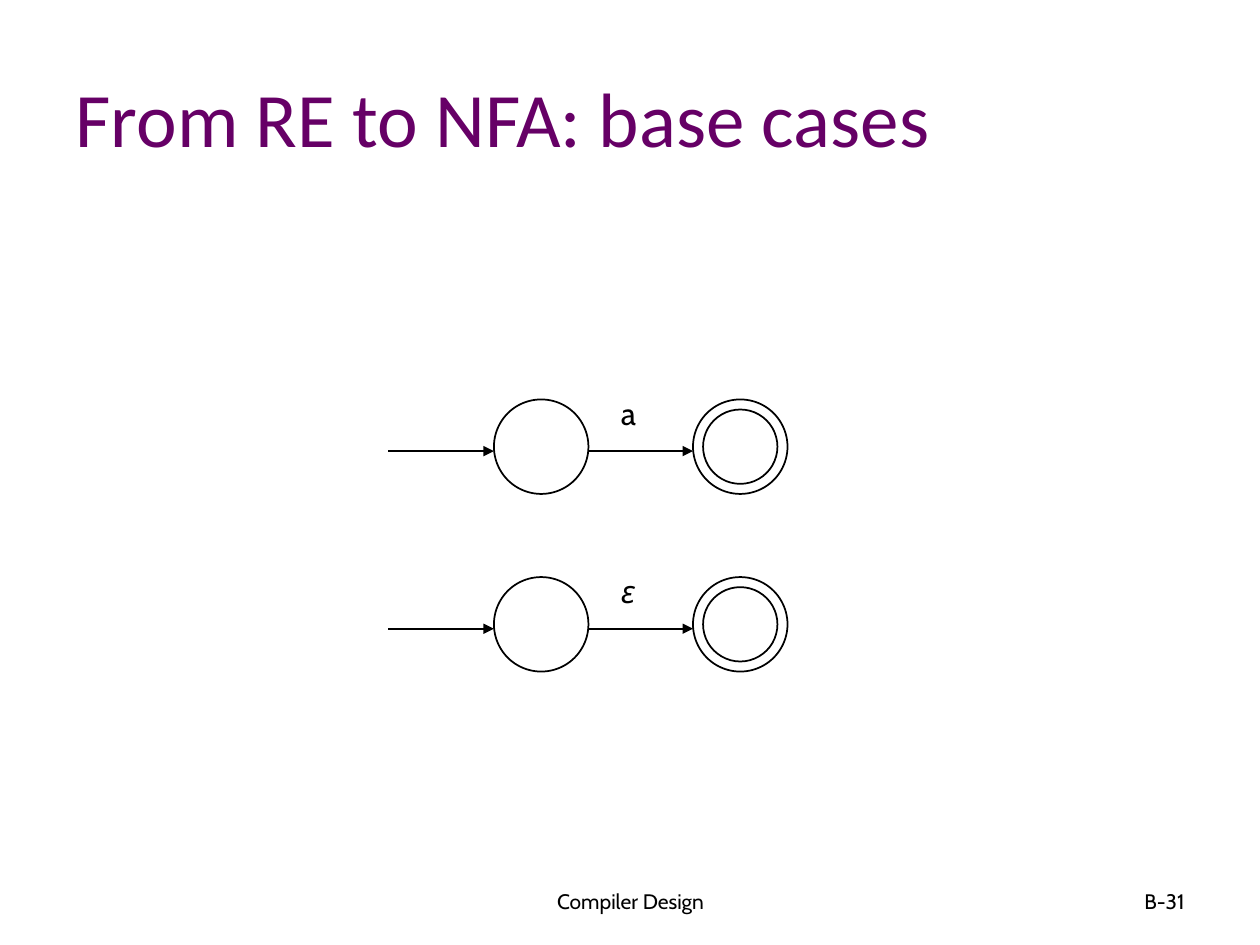
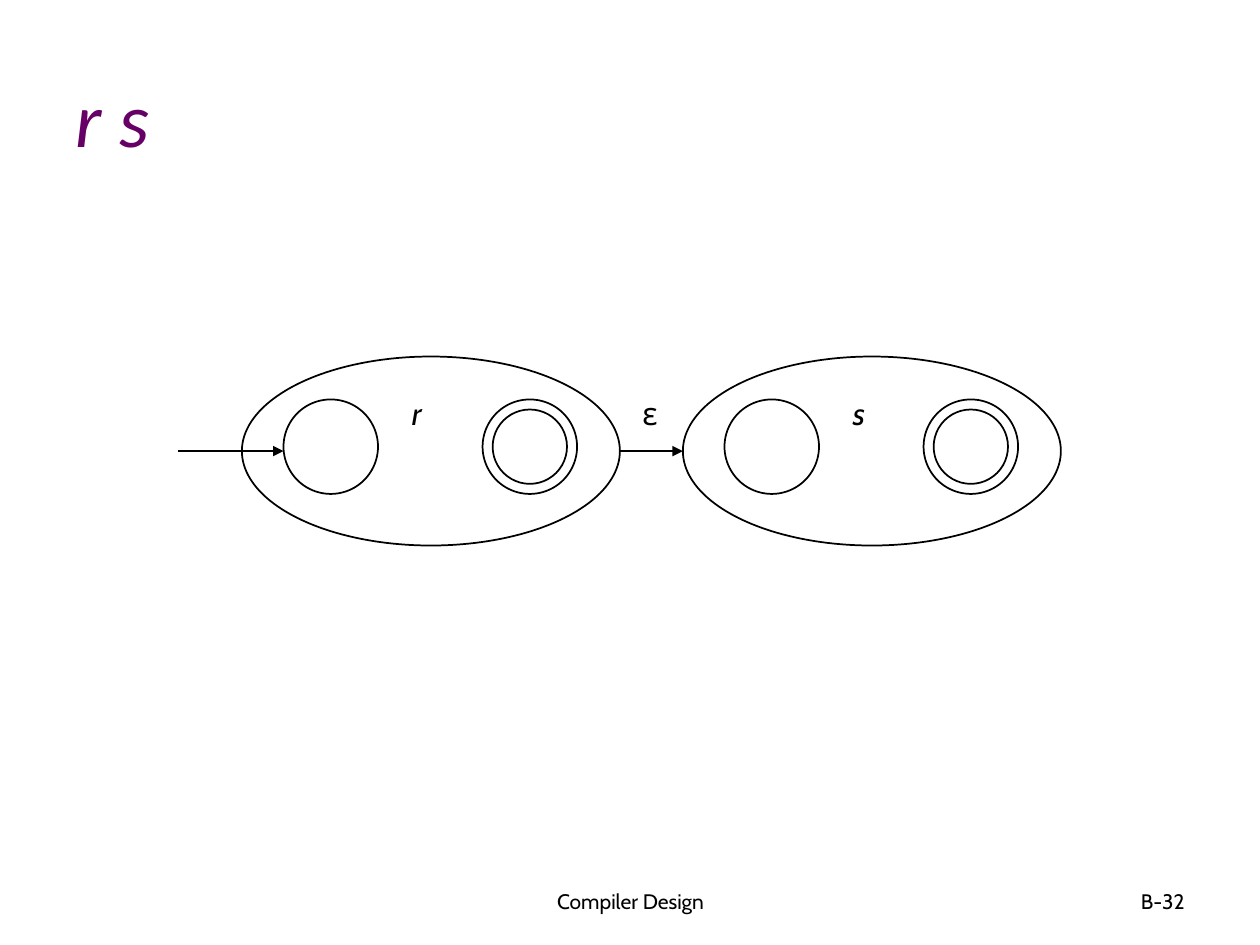
"""Build two slides on turning regular expressions into NFAs."""
from lxml import etree
from pptx import Presentation
from pptx.dml.color import RGBColor
from pptx.enum import shapes, text
from pptx.oxml.ns import qn
from pptx.util import Inches, Pt

PURPLE = RGBColor(0x66, 0x00, 0x66)
BLACK = RGBColor(0x00, 0x00, 0x00)

COURSE = "Compiler Design"
BASE_CASES = {
    "title": "From RE to NFA: base cases", "italic": False, "page": "B-31",
    "automata": [("a", False, 3.92, 3.17), ("ε", True, 3.92, 4.58)],
}
SEQUENCE = {
    "title": "r s", "italic": True, "page": "B-32",
    "automata": [("r", 2.25, 3.17), ("s", 5.75, 3.17)],
    "join": "ε",
}

TITLE_FORMAT = {"name": "Calibri", "size": Pt(44)}
LABEL_FORMAT = {"name": "Cabin", "size": Pt(18)}
FOOTER_FORMAT = {"name": "Cabin", "size": Pt(12)}

STATE = 0.75
RING_GAP = 0.08
STATE_STEP = 1.58
ENTRY = 0.84
ARROW_DROP = 0.41
LABEL_RISE = 0.09
LABEL_HEIGHT = 0.4
HULL_WIDTH, HULL_HEIGHT = 3, 1.5
HULL_OFFSET = 0.33, 0.34


def write(frame, words, formats, color=BLACK, italic=False, align=text.PP_ALIGN.LEFT):
    frame.text = words
    paragraph = frame.paragraphs[0]
    paragraph.alignment = align
    for key, value in {**formats, "italic": italic}.items():
        setattr(paragraph.runs[0].font, key, value)
    paragraph.runs[0].font.color.rgb = color


def add_text(slide, words, left, top, width, formats, wrap=True,
             anchor=text.MSO_ANCHOR.TOP, **style):
    box = slide.shapes.add_textbox(*map(Inches, (left, top, width, LABEL_HEIGHT)))
    box.text_frame.word_wrap = wrap
    box.text_frame.vertical_anchor = anchor
    write(box.text_frame, words, formats, **style)


def ink(line):
    line.color.rgb = BLACK
    line.width = Pt(1)


def add_ellipse(parent, left, top, width, height):
    ellipse = parent.shapes.add_shape(
        shapes.MSO_SHAPE.OVAL, *map(Inches, (left, top, width, height)))
    ellipse.shadow.inherit = False
    ellipse.fill.background()
    ink(ellipse.line)


def add_arrow(slide, start, end, y):
    arrow = slide.shapes.add_connector(
        shapes.MSO_CONNECTOR.STRAIGHT, *map(Inches, (start, y, end, y)))
    ink(arrow.line)
    etree.SubElement(arrow.line._get_or_add_ln(), qn("a:tailEnd"), type="triangle")
    etree.SubElement(arrow._element.spPr, qn("a:effectLst"))


def add_states(slide, left, top):
    add_ellipse(slide, left, top, STATE, STATE)
    accepting = slide.shapes.add_group_shape()
    for inset in (0, RING_GAP):
        size = STATE - 2 * inset
        add_ellipse(accepting, left + STATE_STEP + inset, top + inset, size, size)


def add_entry(slide, left, top):
    add_arrow(slide, left - ENTRY, left, top + ARROW_DROP)


def add_slide(deck, content):
    slide = deck.slides.add_slide(deck.slide_layouts[5])
    title = slide.shapes.title
    title.left, title.top, title.width, title.height = map(Inches, (0.5, 0.3, 9, 1.25))
    title.text_frame.auto_size = text.MSO_AUTO_SIZE.NONE
    title.text_frame.vertical_anchor = text.MSO_ANCHOR.MIDDLE
    write(title.text_frame, content["title"], TITLE_FORMAT, PURPLE, content["italic"])
    for words, left, width, align in (
            (COURSE, 3.42, 3.17, text.PP_ALIGN.CENTER),
            (content["page"], 7.17, 2.33, text.PP_ALIGN.RIGHT)):
        add_text(slide, words, left, 6.95, width, FOOTER_FORMAT,
                 anchor=text.MSO_ANCHOR.MIDDLE, align=align)
    return slide


def add_base_cases(deck):
    slide = add_slide(deck, BASE_CASES)
    for symbol, italic, left, top in BASE_CASES["automata"]:
        add_states(slide, left, top)
        add_entry(slide, left, top)
        add_arrow(slide, left + STATE, left + STATE_STEP, top + ARROW_DROP)
        add_text(slide, symbol, left + 0.91, top - LABEL_RISE, 0.33,
                 LABEL_FORMAT, wrap=False, italic=italic)


def add_sequence(deck):
    slide = add_slide(deck, SEQUENCE)
    hulls = []
    for expression, left, top in SEQUENCE["automata"]:
        add_states(slide, left, top)
        add_text(slide, expression, left + 0.92, top - LABEL_RISE, 0.42,
                 LABEL_FORMAT, italic=True)
        hulls.append(left - HULL_OFFSET[0])
        add_ellipse(slide, hulls[-1], top - HULL_OFFSET[1], HULL_WIDTH, HULL_HEIGHT)
    _, first_left, top = SEQUENCE["automata"][0]
    add_entry(slide, first_left, top)
    join_start = hulls[0] + HULL_WIDTH
    add_arrow(slide, join_start, hulls[1], top + ARROW_DROP)
    add_text(slide, SEQUENCE["join"], join_start + 0.08, top - LABEL_RISE, 0.42, LABEL_FORMAT)


def main():
    deck = Presentation()
    deck.slide_width, deck.slide_height = Inches(10), Inches(7.5)
    add_base_cases(deck)
    add_sequence(deck)
    deck.save("out.pptx")


if __name__ == "__main__":
    main()
